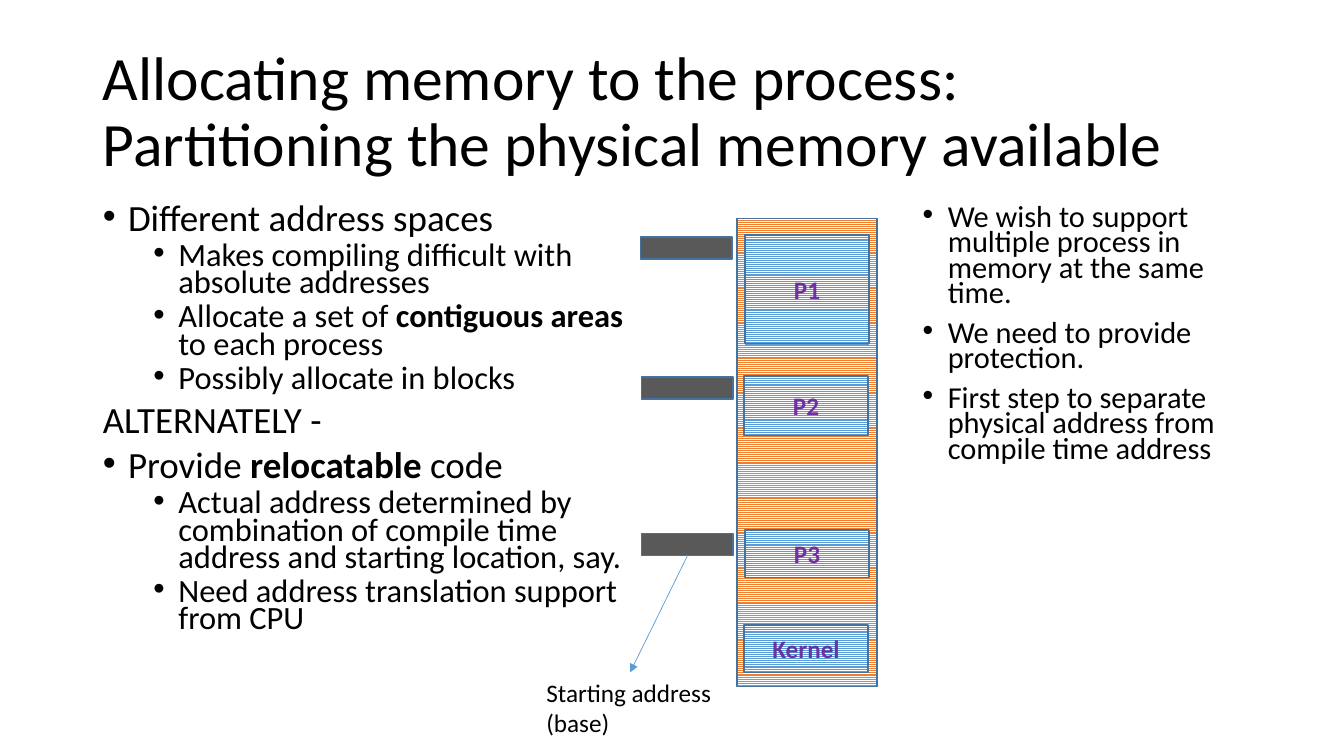
from lxml.etree import SubElement
from pptx import Presentation
from pptx.dml.color import RGBColor
from pptx.enum.dml import MSO_PATTERN
from pptx.enum.shapes import MSO_CONNECTOR, MSO_SHAPE
from pptx.enum.text import MSO_ANCHOR as ANCHOR, MSO_AUTO_SIZE as AUTO, PP_ALIGN as ALIGN
from pptx.oxml.ns import qn
from pptx.util import Inches, Pt

BLACK, WHITE, PURPLE = "000000", "FFFFFF", "7030A0"
ORANGE, BLUE, EDGE, GREY = "ED7D31", "5B9BD5", "43739E", "595959"


def rgb(value):
    """Turn a hex string into a colour."""
    return RGBColor.from_string(value)


class SlideBuilder:
    """Hold the slide and its style, and add each kind of element."""

    def __init__(self, prs, font="Calibri"):
        """Add a two-content slide."""
        self.s = prs.slides.add_slide(prs.slide_layouts[3])
        self.font = font

    def place(self, sp, box):
        """Move a shape to left, top, width, height in inches."""
        sp.left, sp.top, sp.width, sp.height = map(Inches, box)

    def run(self, p, text, size, color=BLACK, bold=False):
        """Add one formatted run."""
        r = p.add_run()
        r.text = text
        r.font.name, r.font.size, r.font.bold = self.font, Pt(size), bold
        r.font.color.rgb = rgb(color)

    def title(self, box, text):
        """Fill the title placeholder."""
        sp = self.s.shapes.title
        self.place(sp, box)
        tf = sp.text_frame
        tf.auto_size, tf.vertical_anchor = AUTO.NONE, ANCHOR.MIDDLE
        p = tf.paragraphs[0]
        p.alignment, p.line_spacing = ALIGN.LEFT, 0.9
        self.run(p, text, 44)

    def body(self, idx, box, items, sizes):
        """Fill a body placeholder with (level, bulleted, runs) items."""
        sp = self.s.placeholders[idx]
        self.place(sp, box)
        tf = sp.text_frame
        tf.auto_size, tf.vertical_anchor = AUTO.NONE, ANCHOR.TOP
        for i, (level, bulleted, runs) in enumerate(items):
            p = tf.add_paragraph() if i else tf.paragraphs[0]
            p.level, p.line_spacing = level, 0.7
            p.space_before = Pt(5 if level else 10)
            self.bullet(p, level, bulleted)
            for j, text in enumerate(runs):
                self.run(p, text, sizes[level], bold=j % 2 == 1)

    def bullet(self, p, level, bulleted):
        """Set the indent and bullet of a paragraph."""
        pPr = p._p.get_or_add_pPr()
        left = 0.25 + 0.5 * level if bulleted else 0
        pPr.set("marL", str(Inches(left)))
        pPr.set("indent", str(Inches(-0.25 if bulleted else 0)))
        if bulleted:
            SubElement(pPr, qn("a:buFont")).set("typeface", "Arial")
            SubElement(pPr, qn("a:buChar")).set("char", "•")
        else:
            SubElement(pPr, qn("a:buNone"))

    def rect(self, box, color, striped=True, label=None):
        """Add an outlined rectangle, striped or solid."""
        sp = self.s.shapes.add_shape(MSO_SHAPE.RECTANGLE, *map(Inches, box))
        sp.shadow.inherit = False
        if striped:
            sp.fill.patterned()
            sp.fill.pattern = MSO_PATTERN.LIGHT_HORIZONTAL
            sp.fill.back_color.rgb = rgb(WHITE)
        else:
            sp.fill.solid()
        sp.fill.fore_color.rgb = rgb(color)
        sp.line.color.rgb, sp.line.width = rgb(EDGE), Pt(1)
        if label:
            tf = sp.text_frame
            tf.vertical_anchor = ANCHOR.MIDDLE
            p = tf.paragraphs[0]
            p.alignment = ALIGN.CENTER
            self.run(p, label, 18, PURPLE, True)

    def text(self, box, lines, size):
        """Add a text box with one paragraph per line."""
        tf = self.s.shapes.add_textbox(*map(Inches, box)).text_frame
        tf.word_wrap = False
        for i, line in enumerate(lines):
            p = tf.add_paragraph() if i else tf.paragraphs[0]
            self.run(p, line, size)

    def arrow(self, start, end, color, width):
        """Add a straight arrow."""
        points = map(Inches, (*start, *end))
        cx = self.s.shapes.add_connector(MSO_CONNECTOR.STRAIGHT, *points)
        cx.line.color.rgb, cx.line.width = rgb(color), Pt(width)
        SubElement(cx.line._get_or_add_ln(), qn("a:tailEnd")).set("type", "triangle")
        SubElement(cx._element.spPr, qn("a:effectLst"))


def main():
    """Build the memory partitioning slide."""
    prs = Presentation()
    prs.slide_width, prs.slide_height = Inches(13.33), Inches(7.5)
    b = SlideBuilder(prs)

    b.title((0.92, 0.4, 11.5, 1.45),
            "Allocating memory to the process: Partitioning the physical memory available")
    b.body(1, (0.92, 2, 5.67, 4.76), [
        (0, True, ["Different address spaces"]),
        (1, True, ["Makes compiling difficult with absolute addresses"]),
        (1, True, ["Allocate a set of ", "contiguous areas", " to each process"]),
        (1, True, ["Possibly allocate in blocks"]),
        (0, False, ["ALTERNATELY -"]),
        (0, True, ["Provide ", "relocatable", " code"]),
        (1, True, ["Actual address determined by combination of compile time "
                   "address and starting location, say."]),
        (1, True, ["Need address translation support from CPU"]),
    ], (26.4, 23.2))
    b.body(2, (9.05, 2, 3.37, 4.76), [
        (0, True, ["We wish to support multiple process in memory at the same time."]),
        (0, True, ["We need to provide protection."]),
        (0, True, ["First step to separate physical address from compile time address"]),
    ], (21.7,))

    b.rect((7.31, 2.17, 1.39, 4.64), ORANGE)
    for label, left, top, height in (("P1", 7.39, 2.33, 1.08), ("P2", 7.38, 3.73, 0.59),
                                     ("P3", 7.39, 5.26, 0.47), ("Kernel", 7.38, 6.2, 0.47)):
        b.rect((left, top, 1.23, height), BLUE, label=label)
    for left, top in ((6.35, 2.35), (6.36, 3.74), (6.36, 5.29)):
        b.rect((left, top, 0.91, 0.22), GREY, striped=False)
    b.text((5.32, 6.67, 1.85, 0.71), ("Starting address", "(base)"), 18)
    b.arrow((6.82, 5.51), (6.25, 6.67), BLUE, 0.5)
    prs.save("out.pptx")


if __name__ == "__main__":
    main()
